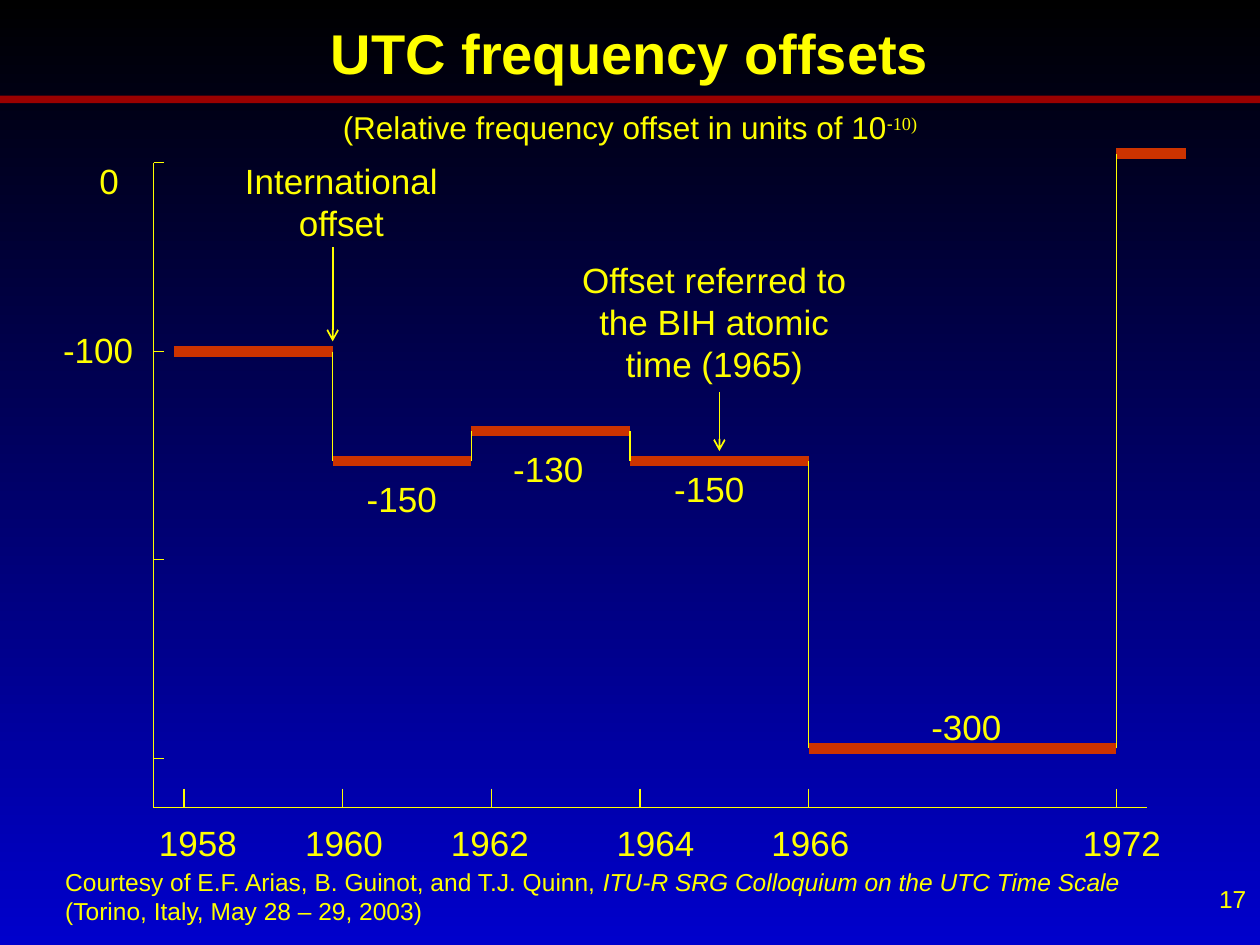
import pptx
import pptx.util
import pptx.dml.color
import pptx.enum.shapes
import pptx.enum.text
import pptx.oxml.ns
from lxml import etree

Pt = pptx.util.Pt
RGB = pptx.dml.color.RGBColor
ALIGN = pptx.enum.text.PP_ALIGN

YELLOW = RGB(0xFF, 0xFF, 0x00)
ORANGE = RGB(0xCC, 0x33, 0x00)
RED = RGB(0x99, 0x00, 0x00)
BLACK = RGB(0x00, 0x00, 0x00)
BLUE = RGB(0x00, 0x00, 0xCC)

# Paragraphs are lists of runs: (text, format)
TITLE = [[("UTC frequency offsets", {"bold": True})]]
UNITS = [[
    ("(Relative frequency offset in units of 10", {}),
    ("-", {"raised": True}),
    ("10)", {"raised": True, "name": "Times New Roman"}),
]]
CREDIT = [
    [("Courtesy of E.F. Arias, B. Guinot, and T.J. Quinn, ", {}),
     ("ITU-R SRG Colloquium on the UTC Time Scale", {"italic": True})],
    [("(Torino, Italy, May 28 – 29, 2003)", {})],
]

# Axes, in points
LEFT, TOP, RIGHT, BASE = 87.8, 92.9, 655.2, 461.5
LEVELS = [92.9, 200.9, 319.7, 433.4]
# year, tick x, label centre x
YEARS = [
    ("1958", 105.1, 113.1), ("1960", 195.8, 196.6), ("1962", 280.8, 280),
    ("1964", 365.8, 374.6), ("1966", 462.2, 463.1), ("1972", 637.9, 641.1),
]
# start x, level y of each step
STEPS = [
    (99.4, 200.9), (190.1, 263.5), (269.3, 246.2),
    (360, 263.5), (462.2, 427.7), (637.9, 87.8),
]
END = 677.5
# x, top, bottom
ARROWS = [(190.1, 141.1, 195.1), (411.1, 223.9, 257.8)]
# text, left, top, width, height
LABELS = [
    ("0", 42.5, 87.8, 39.6, 31.7),
    ("-100", 19.4, 184.3, 73.4, 31.7),
    ("International offset", 115.9, 87.8, 158.4, 55.4),
    ("Offset referred to the BIH atomic time (1965)", 314.6, 144, 187.2, 79.2),
    ("-150", 195.8, 269.3, 67.7, 31.7),
    ("-130", 279.5, 252, 67.7, 31.7),
    ("-150", 371.5, 263.5, 67.7, 31.7),
    ("-300", 518.4, 399.6, 67.7, 31.7),
]


def write(slide, text, left, top, width, height, size=20, align=ALIGN.CENTER,
          box=None):
    """Put a string, or paragraphs of runs, in a text box or a given shape."""
    place = [Pt(v) for v in (left, top, width, height)]
    if box is None:
        box = slide.shapes.add_textbox(*place)
    box.left, box.top, box.width, box.height = place
    frame = box.text_frame
    frame.word_wrap = True
    frame.auto_size = pptx.enum.text.MSO_AUTO_SIZE.NONE
    paras = [[(text, {})]] if isinstance(text, str) else text
    for i, runs in enumerate(paras):
        para = frame.add_paragraph() if i else frame.paragraphs[0]
        para.alignment = align
        para.space_before = Pt(0)
        for words, look in runs:
            run = para.add_run()
            run.text = words
            font = run.font
            font.size = Pt(size)
            font.name = look.get("name", "Arial")
            font.bold = look.get("bold", False)
            font.italic = look.get("italic", False)
            font.color.rgb = YELLOW
            if look.get("raised"):
                run._r.get_or_add_rPr().set("baseline", "30000")


def draw(slide, x1, y1, x2, y2, color=YELLOW, width=0.75, arrow=False):
    kind = pptx.enum.shapes.MSO_CONNECTOR.STRAIGHT
    line = slide.shapes.add_connector(kind, Pt(x1), Pt(y1), Pt(x2), Pt(y2))
    line.line.color.rgb = color
    line.line.width = Pt(width)
    if arrow:
        tail = etree.SubElement(line.line._get_or_add_ln(),
                                pptx.oxml.ns.qn("a:tailEnd"))
        tail.set("type", "arrow")
    etree.SubElement(line._element.spPr, pptx.oxml.ns.qn("a:effectLst"))


def paint(slide):
    fill = slide.background.fill
    fill.gradient()
    fill.gradient_angle = 270
    for stop, color, pos in zip(fill.gradient_stops, (BLACK, BLUE), (0, 1)):
        stop.color.rgb = color
        stop.position = pos
    rule = slide.shapes.add_shape(pptx.enum.shapes.MSO_SHAPE.RECTANGLE,
                                  Pt(0), Pt(54.7), Pt(720), Pt(4.3))
    rule.shadow.inherit = False
    rule.fill.solid()
    rule.fill.fore_color.rgb = RED
    rule.line.fill.background()


def plot(slide):
    draw(slide, LEFT, TOP, LEFT, BASE)
    draw(slide, LEFT, BASE, RIGHT, BASE)
    for y in LEVELS:
        draw(slide, LEFT, y, LEFT + 5.8, y)
    for year, x, mid in YEARS:
        draw(slide, x, BASE - 10.8, x, BASE)
        write(slide, year, mid - 36, 466, 72, 31.7)
    ends = [x for x, _ in STEPS[1:]] + [END]
    for i, ((x, y), end) in enumerate(zip(STEPS, ends)):
        draw(slide, x, y, end, y, color=ORANGE, width=6)
        if i:
            draw(slide, x, STEPS[i - 1][1], x, y)
    for x, top, bottom in ARROWS:
        draw(slide, x, top, x, bottom, width=1, arrow=True)
    for label in LABELS:
        write(slide, *label)


def main():
    deck = pptx.Presentation()
    deck.slide_width, deck.slide_height = Pt(720), Pt(540)
    slide = deck.slides.add_slide(deck.slide_layouts[5])
    paint(slide)
    write(slide, TITLE, 74.9, 6.5, 570.2, 46.1, size=32,
          box=slide.shapes.title)
    write(slide, CREDIT, 30.2, 491.8, 618.5, 46, size=14, align=ALIGN.LEFT)
    plot(slide)
    write(slide, UNITS, 128.9, 58.3, 462.2, 28.8, size=18)
    write(slide, "17", 551.5, 501.8, 167.8, 37.4, size=14, align=ALIGN.RIGHT)
    deck.save("out.pptx")


if __name__ == "__main__":
    main()
